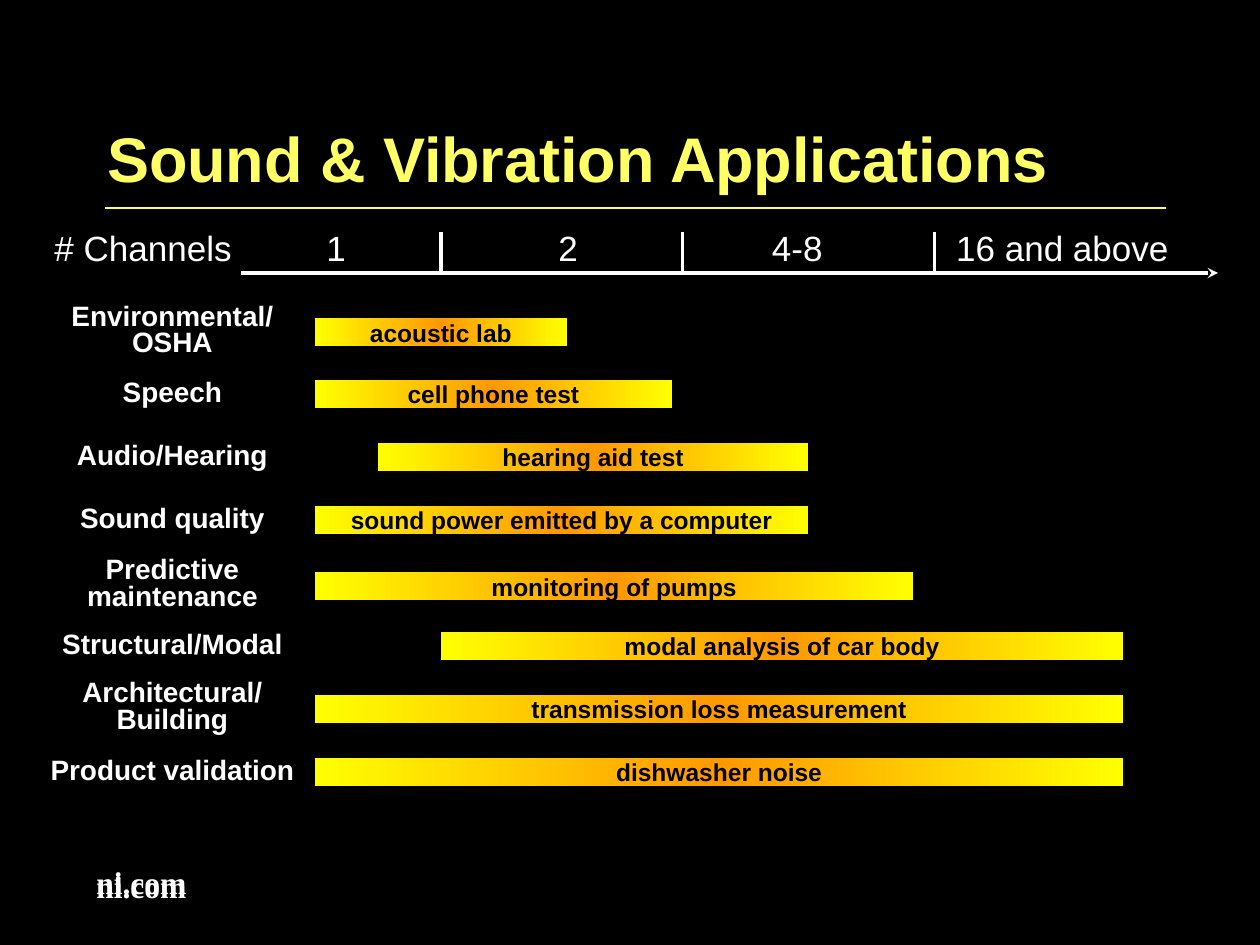
from copy import deepcopy

from pptx import Presentation
from pptx import util as u
from pptx.dml.color import RGBColor
from pptx.enum import shapes, text
from pptx.oxml import parse_xml
from pptx.oxml.ns import nsdecls, qn

COLOURS = {
    "background": "000000",
    "title": "FFFF66",
    "light": "FFFFFF",
    "dark": "000000",
    "bar_edge": "FFFF00",
    "bar_middle": "FF9900",
}

# Label lines, label, bar left, bar top, bar width, bar text
APPLICATIONS = [
    (2, "Environmental/ OSHA", 180, 182, 144, "acoustic lab"),
    (1, "Speech", 180, 217, 204, "cell phone test"),
    (1, "Audio/Hearing", 216, 253, 246, "hearing aid test"),
    (1, "Sound quality", 180, 289, 282, "sound power emitted by a computer"),
    (2, "Predictive maintenance", 180, 327, 342, "monitoring of pumps"),
    (1, "Structural/Modal", 252, 361, 390, "modal analysis of car body"),
    (2, "Architectural/ Building", 180, 397, 462, "transmission loss measurement"),
    (1, "Product validation", 180, 433, 462, "dishwasher noise"),
]
LABEL_RISE = {1: 3, 2: 11.5}  # how far a label starts above its bar
BAR_HEIGHT = 16

# Channel ranges and the centre of each, measured from the text edge
CHANNELS = [("1", 161), ("2", 293.5), ("4-8", 424.5), ("16 and above", 576)]
DIVIDERS = [252, 390, 534]
AXIS_TOP, AXIS_Y = 132.5, 156


def rgb(name):
    return RGBColor.from_string(COLOURS[name])


def place(left, top, width, height):
    return [u.Pt(value) for value in (left, top, width, height)]


def add_span(para, words, size, colour, bold=True, font="Arial"):
    span = para.add_run()
    span.text = words
    span.font.name = font
    span.font.size = u.Pt(size)
    span.font.bold = bold
    span.font.color.rgb = rgb(colour)


def add_text(page, area, words, size, align=text.PP_ALIGN.LEFT, wrap=True,
             anchor=text.MSO_ANCHOR.TOP, **style):
    box = page.shapes.add_textbox(*place(*area))
    frame = box.text_frame
    frame.word_wrap = wrap
    frame.vertical_anchor = anchor
    para = frame.paragraphs[0]
    para.alignment = align
    add_span(para, words, size, "light", **style)
    return para


def add_line(page, start, end, colour, width, arrow=False):
    points = [u.Pt(value) for value in (*start, *end)]
    line = page.shapes.add_connector(shapes.MSO_CONNECTOR.STRAIGHT, *points)
    line.line.color.rgb = rgb(colour)
    line.line.width = u.Pt(width)
    if arrow:
        line.line._get_or_add_ln().append(
            parse_xml(f'<a:tailEnd {nsdecls("a")} type="stealth"/>'))
    line._element.spPr.append(parse_xml(f'<a:effectLst {nsdecls("a")}/>'))


def add_bar(page, area, words):
    bar = page.shapes.add_shape(shapes.MSO_SHAPE.RECTANGLE, *place(*area))
    bar.shadow.inherit = False
    bar.line.fill.background()

    # Yellow at both ends, orange in the middle
    bar.fill.gradient()
    bar.fill.gradient_angle = 0
    for stop, colour in zip(bar.fill.gradient_stops, ("bar_edge", "bar_middle")):
        stop.color.rgb = rgb(colour)
    stops = bar._element.spPr.find(".//" + qn("a:gsLst"))
    stops[1].set("pos", "50000")
    last_stop = deepcopy(stops[0])
    last_stop.set("pos", "100000")
    stops.append(last_stop)

    frame = bar.text_frame
    frame.margin_left = frame.margin_right = 0
    frame.margin_top = frame.margin_bottom = 0
    frame.vertical_anchor = text.MSO_ANCHOR.MIDDLE
    para = frame.paragraphs[0]
    para.alignment = text.PP_ALIGN.CENTER
    add_span(para, words, 14, "dark")


def add_title(page, words):
    title = page.shapes.title
    title.left, title.top, title.width, title.height = place(54, 54, 594, 72)
    frame = title.text_frame
    frame.vertical_anchor = text.MSO_ANCHOR.MIDDLE
    para = frame.paragraphs[0]
    para.alignment = text.PP_ALIGN.LEFT
    add_span(para, words, 36, "title")
    add_line(page, (60, 119), (666, 119), "title", 1)


def add_axis(page):
    words = "\t".join(["# Channels"] + [name for name, _ in CHANNELS])
    para = add_text(page, (24, 126, 660, 31), words, 20, bold=False)
    tabs = "".join(f'<a:tab pos="{u.Pt(centre)}" algn="ctr"/>'
                   for _, centre in CHANNELS)
    para._p.get_or_add_pPr().append(
        parse_xml(f'<a:tabLst {nsdecls("a")}>{tabs}</a:tabLst>'))
    add_line(page, (138, AXIS_Y), (696, AXIS_Y), "light", 2, arrow=True)
    for x in DIVIDERS:
        add_line(page, (x, AXIS_TOP), (x, AXIS_Y), "light", 2)


def add_application(page, lines, label, left, top, width, example):
    area = (20.5, top - LABEL_RISE[lines], 156, 22 if lines == 1 else 38)
    para = add_text(page, area, label, 16, align=text.PP_ALIGN.CENTER)
    para.line_spacing = 0.8
    add_bar(page, (left, top, width, BAR_HEIGHT), example)


def add_footer(page):
    # The address stands twice, slightly offset
    for area, anchor in (((48, 492, 66, 29), text.MSO_ANCHOR.TOP),
                         ((48, 486, 150, 36), text.MSO_ANCHOR.MIDDLE)):
        add_text(page, area, "ni.com", 18, wrap=False, anchor=anchor,
                 font="Times New Roman")


def main():
    deck = Presentation()
    deck.slide_width, deck.slide_height = u.Pt(720), u.Pt(540)
    page = deck.slides.add_slide(deck.slide_layouts[5])
    page.background.fill.solid()
    page.background.fill.fore_color.rgb = rgb("background")

    add_footer(page)
    add_title(page, "Sound & Vibration Applications")
    add_axis(page)
    for application in APPLICATIONS:
        add_application(page, *application)
    deck.save("out.pptx")


if __name__ == "__main__":
    main()
